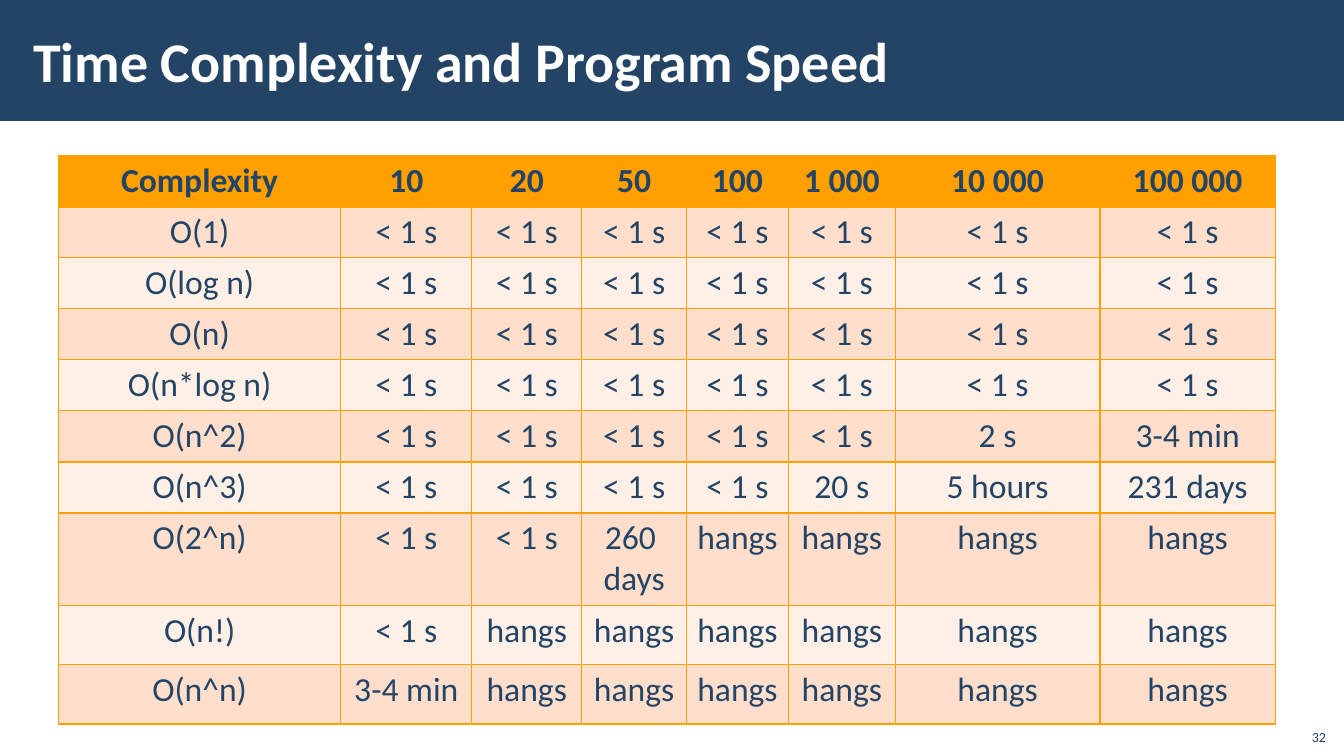
from lxml.etree import SubElement
from pptx import Presentation
from pptx.dml.color import RGBColor
from pptx.enum.shapes import MSO_SHAPE
from pptx.enum.text import MSO_ANCHOR, MSO_AUTO_SIZE, PP_ALIGN
from pptx.oxml.ns import qn
from pptx.util import Pt

PX = 9144  # EMU per px, 100 px to the inch

FONT = "Calibri"
NAVY, WHITE, ORANGE = "234465", "FFFFFF", "FFA000"
BANDS = ["FFDFCC", "FFF0E7"]

FAST, HANGS = "< 1 s", "hangs"
HEADINGS = ["Complexity", "10", "20", "50", "100", "1 000", "10 000", "100 000"]
TIMINGS = [
    ["O(1)"] + [FAST] * 7,
    ["O(log n)"] + [FAST] * 7,
    ["O(n)"] + [FAST] * 7,
    ["O(n*log n)"] + [FAST] * 7,
    ["O(n^2)"] + [FAST] * 5 + ["2 s", "3-4 min"],
    ["O(n^3)"] + [FAST] * 4 + ["20 s", "5 hours", "231 days"],
    ["O(2^n)"] + [FAST] * 2 + ["260 \ndays"] + [HANGS] * 4,
    ["O(n!)", FAST] + [HANGS] * 6,
    ["O(n^n)", "3-4 min"] + [HANGS] * 6,
]
COLUMN_WIDTHS = [280, 130, 109, 104, 101, 106, 203, 174]
ROW_HEIGHTS = [48] * 7 + [86, 59, 59]


def px(*lengths):
    return [length * PX for length in lengths]


def color(hex_code):
    return RGBColor.from_string(hex_code)


def fill_solid(target, hex_code):
    target.fill.solid()
    target.fill.fore_color.rgb = color(hex_code)


def format_text(frame, size, hex_code, align, bold=False):
    for paragraph in frame.paragraphs:
        paragraph.alignment = align
        for run in paragraph.runs:
            run.font.name = FONT
            run.font.size = Pt(size)
            run.font.bold = bold
            run.font.color.rgb = color(hex_code)


def add_header(slide, text):
    title = slide.shapes.title
    band = slide.shapes.add_shape(MSO_SHAPE.RECTANGLE, *px(0, 0, 1334, 120))
    band.shadow.inherit = False
    fill_solid(band, NAVY)
    band.line.fill.background()
    title.element.addprevious(band.element)  # band lies behind the title

    title.left, title.top, title.width, title.height = px(21, 11, 1063, 97)
    frame = title.text_frame
    frame.text = text
    frame.auto_size = MSO_AUTO_SIZE.NONE
    frame.vertical_anchor = MSO_ANCHOR.MIDDLE
    frame.margin_left, frame.margin_right = px(12, 12)
    frame.margin_top, frame.margin_bottom = px(4, 4)
    format_text(frame, 40, WHITE, PP_ALIGN.LEFT, bold=True)


def set_borders(cell, hex_code, width, bottom_width):
    properties = cell._tc.get_or_add_tcPr()
    for side in ("lnL", "lnR", "lnT", "lnB"):
        points = bottom_width if side == "lnB" else width
        line = SubElement(properties, qn(f"a:{side}"), w=str(Pt(points)))
        solid = SubElement(line, qn("a:solidFill"))
        SubElement(solid, qn("a:srgbClr"), val=hex_code)


def add_timing_table(slide):
    rows = [HEADINGS] + TIMINGS
    frame = slide.shapes.add_table(
        len(rows), len(HEADINGS),
        *px(58, 154, sum(COLUMN_WIDTHS), sum(ROW_HEIGHTS)))
    table = frame.table
    table.horz_banding = False
    for column, width in zip(table.columns, COLUMN_WIDTHS):
        column.width = width * PX
    for row, height in zip(table.rows, ROW_HEIGHTS):
        row.height = height * PX

    for r, texts in enumerate(rows):
        heading = r == 0
        for c, text in enumerate(texts):
            cell = table.cell(r, c)
            cell.text_frame.text = text
            format_text(cell.text_frame, 24, NAVY, PP_ALIGN.CENTER, heading)
            set_borders(cell, ORANGE, 1, 3 if heading else 1)
            fill_solid(cell, ORANGE if heading else BANDS[(r - 1) % 2])


def add_page_number(slide, number):
    frame = slide.shapes.add_textbox(*px(1285, 712, 40, 32)).text_frame
    frame.text = number
    frame.word_wrap = True
    frame.vertical_anchor = MSO_ANCHOR.BOTTOM
    format_text(frame, 10, NAVY, PP_ALIGN.RIGHT)


def main():
    presentation = Presentation()
    presentation.slide_width, presentation.slide_height = px(1333, 750)
    slide = presentation.slides.add_slide(presentation.slide_layouts[5])
    fill_solid(slide.background, WHITE)

    # Title band, timings, page number
    add_header(slide, "Time Complexity and Program Speed")
    add_timing_table(slide)
    add_page_number(slide, "32")

    presentation.save("out.pptx")


if __name__ == "__main__":
    main()
